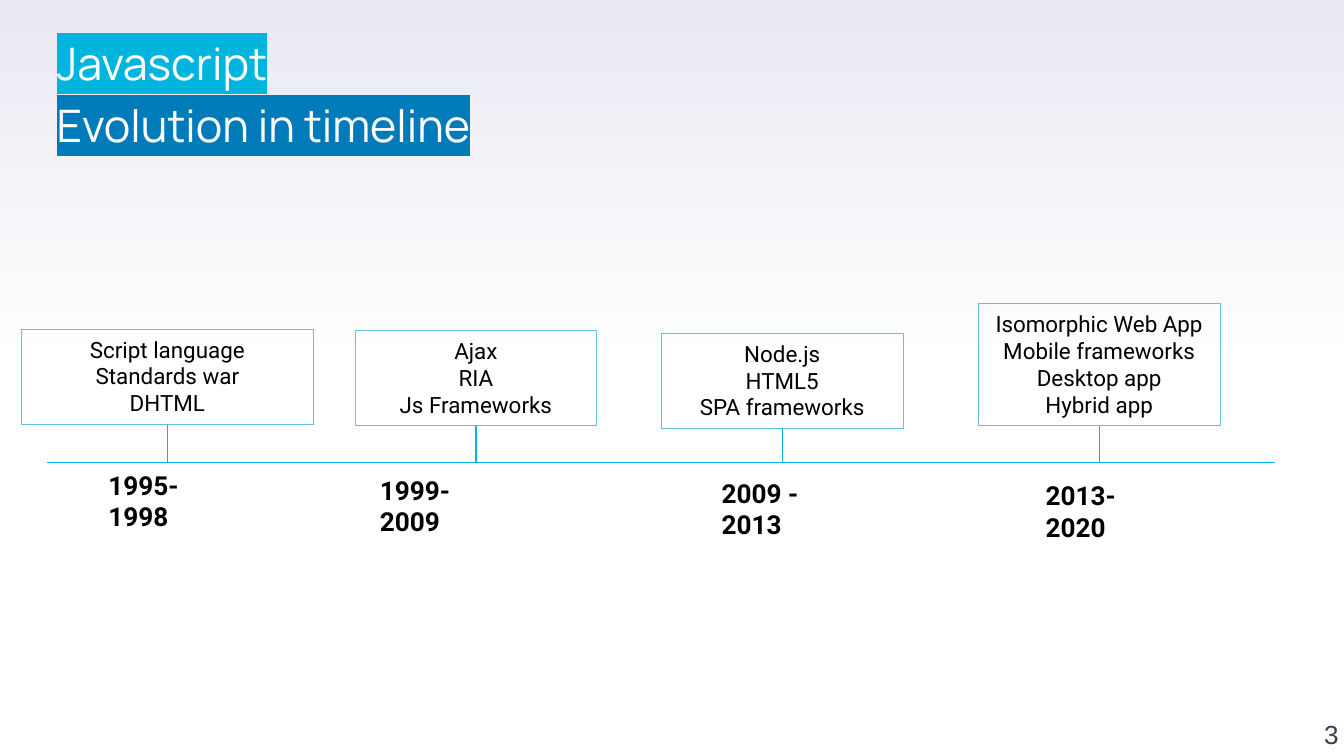
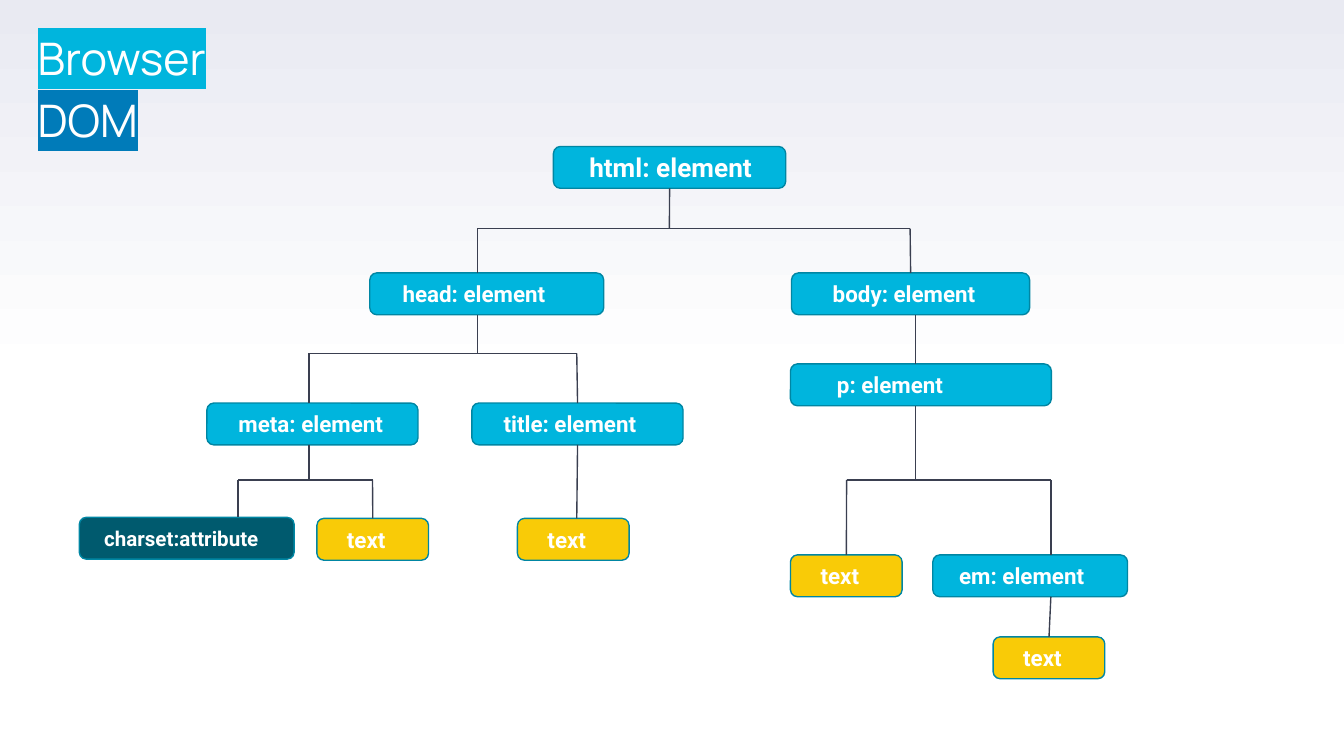
"""Build two slides: the JavaScript timeline and the browser DOM tree."""
from copy import deepcopy

from lxml.etree import SubElement
from pptx import Presentation
from pptx.dml.color import RGBColor
from pptx.enum.shapes import MSO_CONNECTOR, MSO_SHAPE
from pptx.enum.text import MSO_ANCHOR, MSO_AUTO_SIZE, PP_ALIGN
from pptx.oxml.ns import qn
from pptx.util import Cm, Pt

CYAN, BLUE, TEAL, YELLOW = "00B5DD", "007BB9", "005A6E", "F9CB07"
BOX_LINE, NODE_LINE, INK = "61C2DD", "0086A3", "3A3F50"
WHITE, BLACK, LAVENDER = "FFFFFF", "000000", "E9EAF2"
TOP, BOTTOM = 0, 2
NODE_HEIGHT = 0.79
AXIS_Y = 8.74

ERAS = [
    ((0.41, 6.22, 5.51, 1.8), "Script language\nStandards war\nDHTML",
     (1.8, 8.74, 2.72), "1995-1998"),
    ((6.71, 6.25, 4.57, 1.8), "Ajax\nRIA\nJs Frameworks",
     (6.93, 8.84, 2.84), "1999-2009"),
    ((12.5, 6.3, 4.57, 1.8), "Node.js\nHTML5\nSPA frameworks",
     (13.39, 8.89, 2.95), "2009 - 2013"),
    ((18.49, 5.74, 4.57, 2.31),
     "Isomorphic Web App\nMobile frameworks\nDesktop app\nHybrid app",
     (19.51, 8.94, 2.74), "2013-2020"),
]

NODES = {
    "html": ("html: element", 10.46, 2.77, 4.39, 0.64, CYAN, 14),
    "head": ("head: element", 6.99, 5.16, 4.42, 0.58, CYAN, 12),
    "body": ("body: element", 14.96, 5.16, 4.5, 0.74, CYAN, 12),
    "p": ("p: element", 14.94, 6.88, 4.93, 0.84, CYAN, 12),
    "meta": ("meta: element", 3.91, 7.62, 3.99, 0.56, CYAN, 12),
    "title": ("title: element", 8.92, 7.62, 3.99, 0.56, CYAN, 12),
    "charset": ("charset:attribute", 1.5, 9.78, 4.06, 0.43, TEAL, 11),
    "meta text": ("text", 5.99, 9.8, 2.11, 0.53, YELLOW, 12),
    "title text": ("text", 9.78, 9.8, 2.11, 0.53, YELLOW, 12),
    "p text": ("text", 14.94, 10.49, 2.11, 0.53, YELLOW, 12),
    "em": ("em: element", 17.63, 10.49, 3.68, 0.46, CYAN, 12),
    "em text": ("text", 18.77, 12.04, 2.11, 0.53, YELLOW, 12),
}

BRANCHES = [
    ("html", 12.65, 4.32, [("head", 9.02), ("body", 17.2)]),
    ("head", 9.02, 6.68, [("meta", 5.84), ("title", 10.9)]),
    ("meta", 5.84, 9.07, [("charset", 4.5), ("meta text", 7.04)]),
    ("p", 17.3, 9.07, [("p text", 16), ("em", 19.86)]),
]
SINGLES = [("body", "p", 17.3), ("title", "title text", 10.9),
           ("em", "em text", 19.86)]


def rgb(value):
    """Turn a hex string into a colour."""
    return RGBColor.from_string(value)


def set_background(master):
    """Fade the master background from lavender at the top to white."""
    fill = master.background.fill
    fill.gradient()
    fill.gradient_angle = 90
    for stop, color, place in zip(fill.gradient_stops, (WHITE, LAVENDER), (0, 1)):
        stop.color.rgb = rgb(color)
        stop.position = place
    first = master.element.find(".//" + qn("a:gs"))
    middle = deepcopy(first)
    middle.set("pos", "50000")
    first.addnext(middle)


def style_text(tf, size, color, font="Roboto", bold=False, align=PP_ALIGN.LEFT):
    """Format every paragraph and run of a text frame."""
    for p in tf.paragraphs:
        p.alignment = align
        for r in p.runs:
            r.font.size, r.font.name, r.font.bold = Pt(size), font, bold
            r.font.color.rgb = rgb(color)


def clear_margins(tf):
    """Remove the insets of a text frame."""
    tf.margin_left = tf.margin_top = tf.margin_right = tf.margin_bottom = 0


def highlight(r, color):
    """Put a highlight colour behind a run."""
    rPr = r.font._element if hasattr(r.font, "_element") else r._r.get_or_add_rPr()
    mark = SubElement(rPr, qn("a:highlight"))
    SubElement(mark, qn("a:srgbClr")).set("val", color)
    rPr.find(qn("a:solidFill")).addnext(mark)


def add_slide(prs, title, left, top, width):
    """Add a slide with a two-line highlighted title."""
    s = prs.slides.add_slide(prs.slide_layouts[5])
    sp = s.shapes.title
    sp.left, sp.top, sp.width, sp.height = Cm(left), Cm(top), Cm(width), Cm(2.49)
    tf = sp.text_frame
    tf.text = title
    tf.auto_size = MSO_AUTO_SIZE.NONE
    tf.vertical_anchor = MSO_ANCHOR.TOP
    clear_margins(tf)
    style_text(tf, 24, WHITE, "Manrope")
    for p, color in zip(tf.paragraphs, (CYAN, BLUE)):
        p.line_spacing = 1.15
        highlight(p.runs[0], color)
    return s


def add_text(s, text, left, top, width, height):
    """Add a wrapping text box and return its text frame."""
    tf = s.shapes.add_textbox(Cm(left), Cm(top), Cm(width), Cm(height)).text_frame
    tf.word_wrap = True
    tf.text = text
    return tf


def add_box(s, kind, text, place, line, weight, fill=None):
    """Add an outlined shape with text, filled only if a colour is given."""
    sp = s.shapes.add_shape(kind, *[Cm(v) for v in place])
    sp.shadow.inherit = False
    if fill:
        sp.fill.solid()
        sp.fill.fore_color.rgb = rgb(fill)
    else:
        sp.fill.background()
    sp.line.color.rgb = rgb(line)
    sp.line.width = Pt(weight)
    sp.text_frame.text = text
    return sp


def add_line(s, x1, y1, x2, y2, color):
    """Add a thin straight connector without a shadow."""
    line = s.shapes.add_connector(MSO_CONNECTOR.STRAIGHT, x1, y1, x2, y2)
    line.line.color.rgb = rgb(color)
    line.line.width = Pt(0.75)
    SubElement(line._element.spPr, qn("a:effectLst"))
    return line


def add_era(s, place, topics, years_place, years):
    """Add one period: topic box, tick down to the axis, and years."""
    sp = add_box(s, MSO_SHAPE.RECTANGLE, topics, place, BOX_LINE, 0.5)
    tf = sp.text_frame
    tf.vertical_anchor = MSO_ANCHOR.TOP
    tf.auto_size = MSO_AUTO_SIZE.SHAPE_TO_FIT_TEXT
    style_text(tf, 12, BLACK, align=PP_ALIGN.CENTER)
    x = sp.left + sp.width // 2
    tick = add_line(s, x, sp.top + sp.height, x, Cm(AXIS_Y), CYAN)
    tick.begin_connect(sp, BOTTOM)
    style_text(add_text(s, years, *years_place, 0.86), 14, BLACK, bold=True)


def add_node(s, text, left, top, width, indent, fill, size):
    """Add one rounded node of the tree."""
    place = (left, top, width, NODE_HEIGHT)
    sp = add_box(s, MSO_SHAPE.ROUNDED_RECTANGLE, text, place, NODE_LINE, 0.75, fill)
    tf = sp.text_frame
    clear_margins(tf)
    tf.margin_left = Cm(indent)
    tf.word_wrap = False
    tf.vertical_anchor = MSO_ANCHOR.MIDDLE
    style_text(tf, size, WHITE, bold=True)
    return sp


def is_middle(sp, x):
    """Tell whether x meets the middle of the shape."""
    return abs(sp.left + sp.width // 2 - Cm(x)) < Cm(0.05)


def add_link(s, x, parent=None, child=None, bar=None):
    """Draw a vertical line between two nodes, or a node and a bar."""
    y1 = parent.top + parent.height if parent else Cm(bar)
    y2 = child.top if child else Cm(bar)
    line = add_line(s, Cm(x), y1, Cm(x), y2, INK)
    if parent and is_middle(parent, x):
        line.begin_connect(parent, BOTTOM)
    if child and is_middle(child, x):
        line.end_connect(child, TOP)


def add_branch(s, nodes, parent, x, bar, children):
    """Draw a stem, a horizontal bar and a drop to each child."""
    add_link(s, x, parent=nodes[parent], bar=bar)
    ends = [Cm(drop) for _, drop in children]
    add_line(s, ends[0], Cm(bar), ends[-1], Cm(bar), INK)
    for child, drop in children:
        add_link(s, drop, child=nodes[child], bar=bar)


def build_timeline(prs):
    """Build the timeline slide."""
    s = add_slide(prs, "Javascript\nEvolution in timeline", 1.07, 0.53, 14.45)
    add_line(s, Cm(0.89), Cm(AXIS_Y), Cm(24.1), Cm(AXIS_Y), CYAN)
    for era in ERAS:
        add_era(s, *era)
    tf = add_text(s, "3", 24.03, 12.88, 1.27, 1.3)
    clear_margins(tf)
    tf.vertical_anchor = MSO_ANCHOR.BOTTOM
    style_text(tf, 14, INK, "Arial", align=PP_ALIGN.RIGHT)


def build_tree(prs):
    """Build the DOM tree slide."""
    s = add_slide(prs, "Browser\nDOM", 0.71, 0.43, 4.24)
    nodes = {name: add_node(s, *node) for name, node in NODES.items()}
    for branch in BRANCHES:
        add_branch(s, nodes, *branch)
    for parent, child, x in SINGLES:
        add_link(s, x, nodes[parent], nodes[child])


def main():
    """Create the presentation and save it."""
    prs = Presentation()
    prs.slide_width, prs.slide_height = Cm(25.4), Cm(14.29)
    set_background(prs.slide_master)
    build_timeline(prs)
    build_tree(prs)
    prs.save("out.pptx")


if __name__ == "__main__":
    main()
